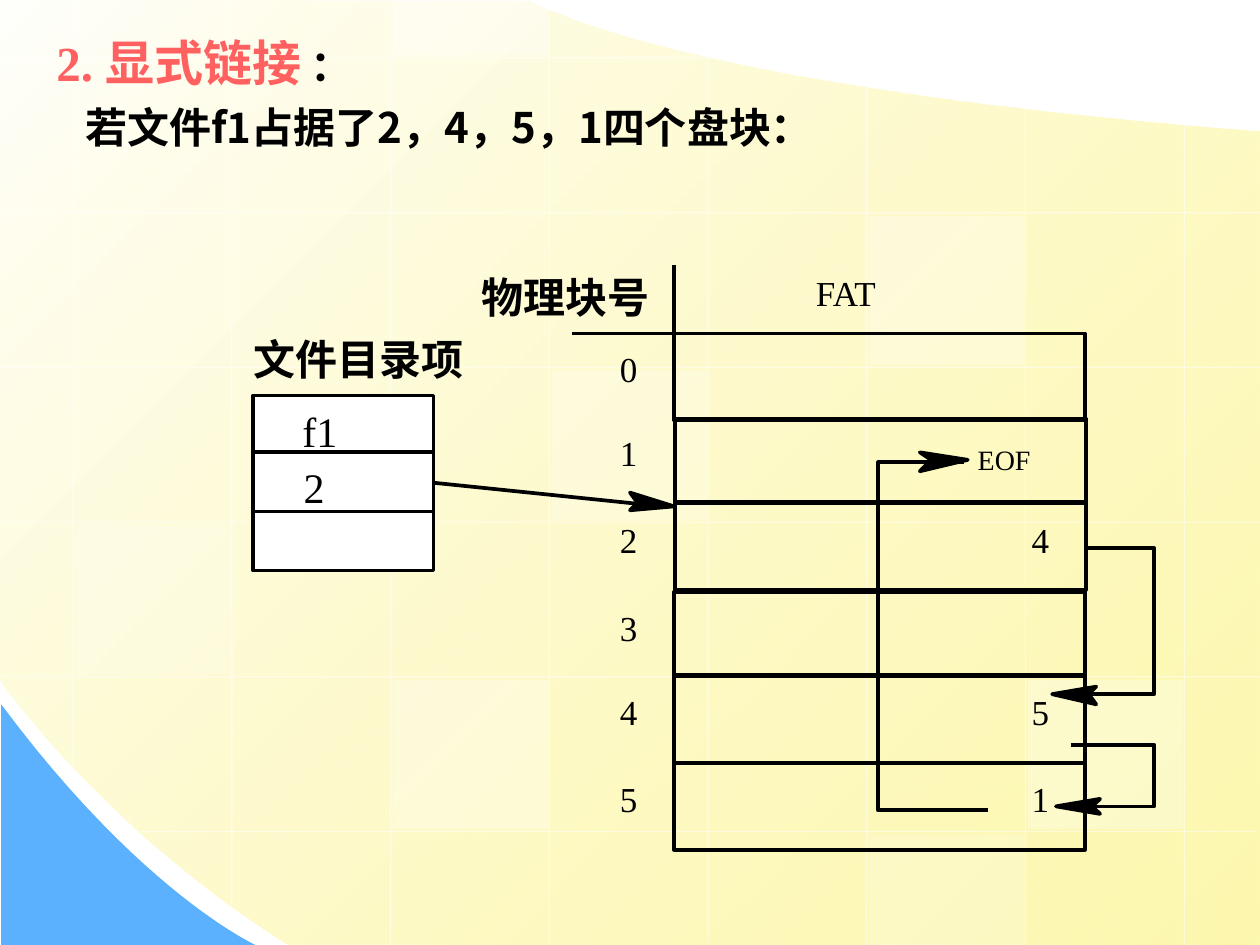
"""Build the explicit linking slide with its directory entry and FAT diagram."""
from dataclasses import dataclass

from lxml.etree import SubElement
from pptx import Presentation
from pptx.dml.color import RGBColor as Color
from pptx.enum.shapes import MSO_CONNECTOR as Connector, MSO_SHAPE as Preset
from pptx.enum.text import MSO_AUTO_SIZE as AutoSize
from pptx.oxml.ns import qn
from pptx.util import Pt


@dataclass(frozen=True)
class Theme:
    ink: str = "000000"
    accent: str = "FF6161"
    white: str = "FFFFFF"
    blue: str = "5CB1FE"
    cream: str = "FFFFFB"
    yellow: str = "FDF58D"
    serif: str = "Times New Roman"
    sans: str = "Noto Sans CJK SC"
    title: int = 28
    body: int = 24
    label: int = 20
    small: int = 16
    rule: float = 2.13
    hairline: float = 0.75


def set_alpha(element, *percents):
    for color, percent in zip(element.iter(qn("a:srgbClr")), percents):
        SubElement(color, qn("a:alpha"), val=str(percent * 1000))


def bezier(start, first, second, end, steps=24):
    points = []
    for step in range(steps + 1):
        t = step / steps
        weights = ((1 - t) ** 3, 3 * t * (1 - t) ** 2, 3 * t * t * (1 - t), t ** 3)
        points.append(tuple(sum(w * p[axis] for w, p in zip(weights, (start, first, second, end)))
                            for axis in (0, 1)))
    return points


class SlideBuilder:
    def __init__(self, slide, theme):
        self.slide = slide
        self.shapes = slide.shapes
        self.theme = theme

    def paint(self, shape, fill=None, line=None):
        shape.shadow.inherit = False
        if fill:
            shape.fill.solid()
            shape.fill.fore_color.rgb = Color.from_string(fill)
        else:
            shape.fill.background()
        if line:
            shape.line.color.rgb = Color.from_string(line)
            shape.line.width = Pt(self.theme.rule)
        else:
            shape.line.fill.background()
        return shape

    def box(self, left, top, width, height, fill=None, line=None):
        shape = self.shapes.add_shape(Preset.RECTANGLE, Pt(left), Pt(top), Pt(width), Pt(height))
        return self.paint(shape, fill, line)

    def outline(self, points, fill=None, line=None, close=True):
        start, *rest = [(Pt(x), Pt(y)) for x, y in points]
        builder = self.shapes.build_freeform(*start, scale=1.0)
        builder.add_line_segments(rest, close=close)
        return self.paint(builder.convert_to_shape(), fill, line)

    def arrowhead(self, points):
        return self.outline(points, self.theme.ink, self.theme.ink)

    def line(self, x1, y1, x2, y2, color, width):
        line = self.shapes.add_connector(Connector.STRAIGHT, Pt(x1), Pt(y1), Pt(x2), Pt(y2))
        line.line.color.rgb = Color.from_string(color)
        line.line.width = Pt(width)
        SubElement(line.element.spPr, qn("a:effectLst"))
        return line

    def grid_line(self, *ends):
        line = self.line(*ends, self.theme.white, self.theme.hairline)
        set_alpha(line.element, 50)

    def rule(self, *ends):
        self.line(*ends, self.theme.ink, self.theme.rule)

    def text(self, left, top, width, height, runs, size, bold=False, font=None,
             inset=(0, 0), wrap=False, indent=0):
        box = self.shapes.add_textbox(Pt(left), Pt(top), Pt(width), Pt(height))
        frame = box.text_frame
        frame.word_wrap = wrap
        frame.auto_size = AutoSize.SHAPE_TO_FIT_TEXT
        frame.margin_left = frame.margin_right = Pt(inset[0])
        frame.margin_top = frame.margin_bottom = Pt(inset[1])
        paragraph = frame.paragraphs[0]
        if indent:
            paragraph._p.get_or_add_pPr().set("marL", str(Pt(indent)))
        paragraph.font.name = font or self.theme.serif
        paragraph.font.size = Pt(size)
        paragraph.font.bold = bold
        paragraph.font.color.rgb = Color.from_string(self.theme.ink)
        for words, run_size, color in runs if isinstance(runs, list) else [(runs, None, None)]:
            run = paragraph.add_run()
            run.text = words
            if color:
                run.font.size = Pt(run_size)
                run.font.color.rgb = Color.from_string(color)


def draw_background(builder):
    theme = builder.theme
    panel = builder.outline(
        [(720, 75), (720, 540)]
        + bezier((165.6, 540), (62, 476), (-0.7, 388), (0, 388))
        + [(-0.7, -0.7)]
        + bezier((303, 0.7), (303, 0.7), (387, 50), (720, 75)), theme.cream)
    panel.fill.gradient()
    panel.fill.gradient_angle = 315
    for stop, color in zip(panel.fill.gradient_stops, (theme.cream, theme.yellow)):
        stop.color.rgb = Color.from_string(color)
    set_alpha(panel.element, 100, 70)
    builder.outline([(0.7, 402.5), (0.7, 540)]
                    + bezier((146, 540), (146, 540), (81, 510.5), (0.7, 402.5)), theme.blue)

    columns = [41.8 + 90.7 * index for index in range(8)]
    rows = [33.1 + 88.4 * index for index in range(-1, 6)]
    tops = (0, 0, 0, 0, 31, 49, 61, 70.6)
    bottoms = (438.5, 517.7) + (540,) * 6
    for x, top, bottom in zip(columns, tops, bottoms):
        builder.grid_line(x, top, x, bottom)
    lefts = (0, 0, 0, 0, 0, 80)
    rights = (409, 720, 720, 720, 720, 718)
    for y, left, right in zip(rows[1:], lefts, rights):
        builder.grid_line(right, y, left, y)

    tiles = [(3, 3, 25), (6, 5, 30), (0, 4, 20), (5, 6, 20), (2, 0, 40), (2, 5, 30), (5, 2, 30)]
    for column, row, opacity in tiles:
        top = max(0, rows[row] + 2)
        bottom = min(540, rows[row] + 87)
        tile = builder.box(columns[column] + 1.5, top, 88.6, bottom - top, theme.white)
        set_alpha(tile.element, opacity)


def draw_headings(builder):
    theme = builder.theme
    builder.text(25.2, 15.1, 380, 41, [("2. 显式链接", theme.title, theme.accent),
                                       (" ：", theme.body, theme.ink)],
                 theme.body, True, inset=(7.2, 3.6), wrap=True)
    builder.text(25.2, 54.7, 663, 36, "若文件f1占据了2，4，5，1四个盘块：", theme.body, True,
                 theme.sans, inset=(7.2, 3.6), wrap=True, indent=16.5)


def draw_fat(builder):
    theme = builder.theme
    fat_rows = [(385.2, 190.6, 49.7, 198.7, None), (385.9, 239.2, 47.5, 246.7, None),
                (385.9, 287.3, 49.7, 296.4, "4"), (385.2, 338.4, 47.5, 346.3, None),
                (385.2, 386.1, 49.7, 394.4, "5"), (385.2, 435.9, 49.7, 444.2, "1")]
    for number, (left, top, height, text_top, link) in enumerate(fat_rows):
        builder.box(left, top, 234.7, height, line=theme.ink)
        builder.text(354.2, text_top, 10, 23.8, str(number), theme.label)
        if link:
            builder.text(589.5, text_top, 10, 23.8, link, theme.label)
    builder.rule(385.2, 151.2, 385.2, 190.6)
    builder.rule(385.2, 190.6, 326.9, 190.6)
    builder.text(275, 155.3, 100, 28.8, "物理块号", theme.body, True)
    builder.text(466.3, 155.3, 38.2, 23.8, "FAT", theme.label)
    builder.text(558.7, 252.7, 41.8, 19.4, "EOF", theme.small, wrap=True)

    links = [[(619.9, 313.2), (659.5, 313.2), (659.5, 396.7), (612, 396.7)],
             [(612, 425.5), (659.5, 425.5), (659.5, 460.8), (605.5, 460.8)],
             [(550.8, 264.2), (501.8, 264.2), (501.8, 463), (564.5, 463)]]
    for link in links:
        builder.outline(link, line=theme.ink, close=False)
    heads = [[(626.4, 392.4), (622.1, 396.7), (626.4, 402.5), (601.2, 396.7)],
             [(628.6, 456.5), (624.2, 460.8), (628.6, 465.1), (603.4, 460.8)],
             [(525.6, 258.5), (532.1, 262.8), (525.6, 269.3), (553, 262.8)]]
    for head in heads:
        builder.arrowhead(head)


def draw_directory(builder):
    theme = builder.theme
    for top, height in ((226.1, 33.1), (258.5, 36.7), (292.3, 33.8)):
        builder.box(144.7, top, 103, height, theme.white, theme.ink)
    builder.text(173.5, 263.5, 14, 28.8, "2", theme.body)
    builder.rule(247, 275.8, 372.2, 288.7)
    builder.text(144.7, 190.8, 124, 28.8, "文件目录项", theme.body, True)
    builder.arrowhead([(360, 281.5), (364.3, 287.3), (360, 291.6), (385.2, 289.4)])
    builder.text(172.8, 231.5, 28, 28.8, "f1", theme.body, wrap=True)


def main():
    presentation = Presentation()
    presentation.slide_width, presentation.slide_height = Pt(720), Pt(540)
    slide = presentation.slides.add_slide(presentation.slide_layouts[6])
    builder = SlideBuilder(slide, Theme())
    draw_background(builder)
    draw_headings(builder)
    draw_fat(builder)
    draw_directory(builder)
    presentation.save("out.pptx")


if __name__ == "__main__":
    main()
